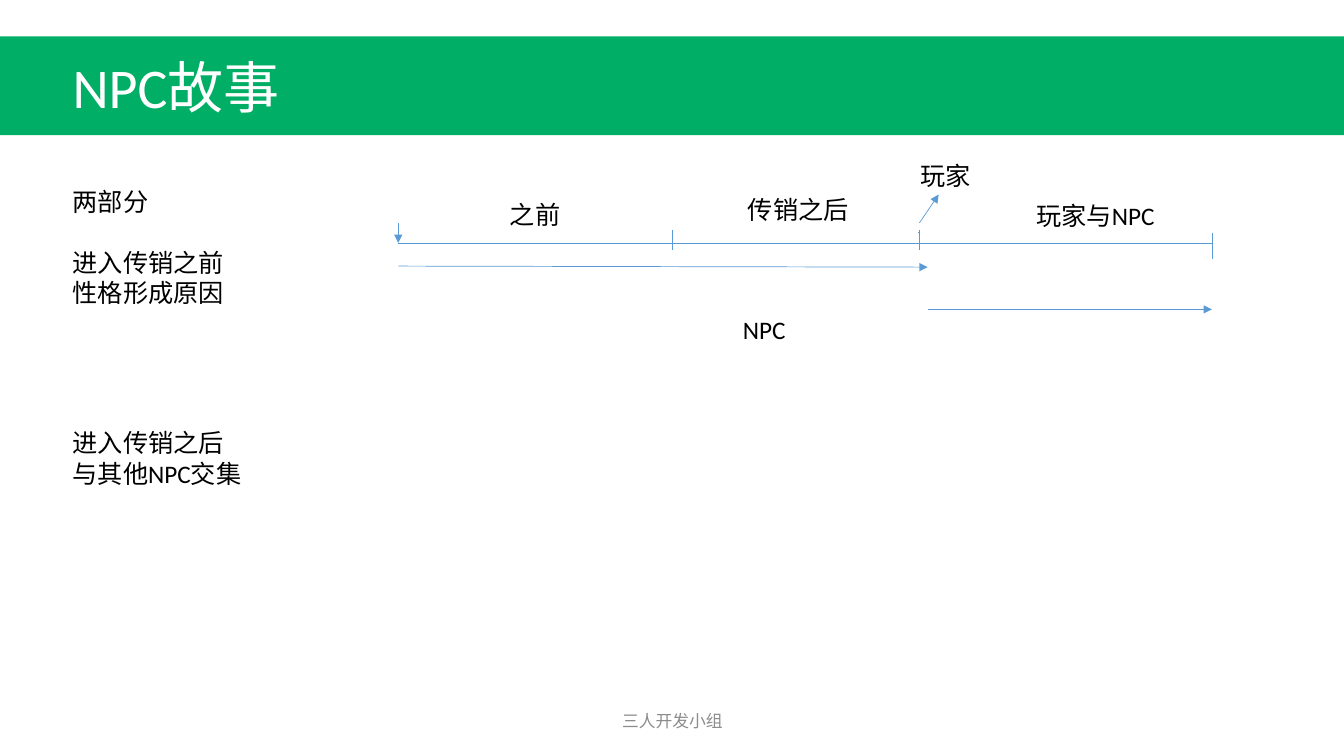
import pptx
import pptx.dml.color
import pptx.enum.shapes
import pptx.enum.text
import pptx.oxml
import pptx.oxml.ns
import pptx.util

Inches, Pt = pptx.util.Inches, pptx.util.Pt
RGB = pptx.dml.color.RGBColor.from_string
ALIGN = pptx.enum.text.PP_ALIGN
ANCHOR = pptx.enum.text.MSO_ANCHOR
COLORS = {"bar": "00AE66", "title": "FFFFFF", "text": "000000",
          "line": "5B9BD5", "footer": "8C8C8C"}


def write(sp, lines, size, color, align=ALIGN.LEFT, anchor=ANCHOR.TOP):
    """Fill a shape with (text, space before) lines."""
    tf = sp.text_frame
    frame_format = {"word_wrap": True, "vertical_anchor": anchor,
                    "auto_size": pptx.enum.text.MSO_AUTO_SIZE.NONE}
    for name, value in frame_format.items():
        setattr(tf, name, value)
    for i, (text, before) in enumerate(lines):
        p = tf.paragraphs[0] if i == 0 else tf.add_paragraph()
        for name, value in {"alignment": align, "space_before": Pt(before)}.items():
            setattr(p, name, value)
        r = p.add_run()
        r.text = text
        for name, value in {"size": Pt(size), "name": "Calibri", "bold": False}.items():
            setattr(r.font, name, value)
        r.font.color.rgb = RGB(COLORS[color])


def place(sp, left, top, width, height):
    box = {"left": left, "top": top, "width": width, "height": height}
    for name, value in box.items():
        setattr(sp, name, Inches(value))


prs = pptx.Presentation()
prs.slide_width, prs.slide_height = Inches(13.33), Inches(7.5)
s = prs.slides.add_slide(prs.slide_layouts[1])

# Green title bar, sent behind the placeholders
bar = s.shapes.add_shape(pptx.enum.shapes.MSO_SHAPE.RECTANGLE,
                         0, Inches(0.36), Inches(13.33), Inches(0.98))
bar.shadow.inherit = False
bar.fill.solid()
bar.fill.fore_color.rgb = RGB(COLORS["bar"])
bar.line.fill.background()
s.shapes.title._element.addprevious(bar._element)

# Title
place(s.shapes.title, 0.62, 0.47, 4.7, 0.77)
write(s.shapes.title, [("NPC故事", 0)], 40, "title")

# Outline of the two parts
body = s.placeholders[1]
place(body, 0.62, 1.8, 3.15, 3.13)
write(body, [("两部分", 0), ("进入传销之前", 21.5), ("性格形成原因", 0),
             ("进入传销之后", 86), ("与其他NPC交集", 0)], 18, "text")
for p in body.text_frame.paragraphs:
    pPr = p._p.get_or_add_pPr()
    pPr.set("marL", "0")
    pPr.set("indent", "0")
    pPr.append(pptx.oxml.parse_xml("<a:buNone %s/>" % pptx.oxml.ns.nsdecls("a")))

# Timeline: x1, y1, x2, y2, arrowhead
start, joined, player, end, axis = 3.95, 6.67, 9.12, 12.02, 2.41
timeline = [
    (start, axis, end, axis, False),
    (joined, 2.28, joined, 2.48, False),
    (9.1, 2.31, player, 2.31, False),
    (player, 2.28, player, 2.48, False),
    (end, 2.31, end, 2.57, False),
    (start, 2.21, start, axis, True),
    (player, 2.21, 9.31, 1.93, True),
    (start, 2.64, 9.2, 2.65, True),
    (9.2, 3.07, end, 3.07, True),
]
for *points, arrow in timeline:
    line = s.shapes.add_connector(pptx.enum.shapes.MSO_CONNECTOR.STRAIGHT,
                                  *[Inches(v) for v in points])
    line.line.color.rgb = RGB(COLORS["line"])
    line.line.width = Pt(0.5)
    if arrow:
        line.line._get_or_add_ln().append(pptx.oxml.parse_xml(
            '<a:tailEnd type="triangle" %s/>' % pptx.oxml.ns.nsdecls("a")))
    line._element.spPr.append(pptx.oxml.parse_xml(
        "<a:effectLst %s/>" % pptx.oxml.ns.nsdecls("a")))

# Timeline labels
labels = [
    ("之前", 4.96, 1.93, 0.76),
    ("传销之后", 7.32, 1.88, 1.44),
    ("玩家", 9.03, 1.54, 1.16),
    ("玩家与NPC", 10.18, 1.94, 1.65),
    ("NPC", 7.27, 3.07, 1.43),
]
for text, left, top, width in labels:
    label = s.shapes.add_textbox(Inches(left), Inches(top), Inches(width), Inches(0.4))
    write(label, [(text, 0)], 18, "text")

# Footer
footer = s.shapes.add_textbox(Inches(4.42), Inches(6.95), Inches(4.5), Inches(0.4))
write(footer, [("三人开发小组", 0)], 12, "footer", ALIGN.CENTER, ANCHOR.MIDDLE)

prs.save("out.pptx")
